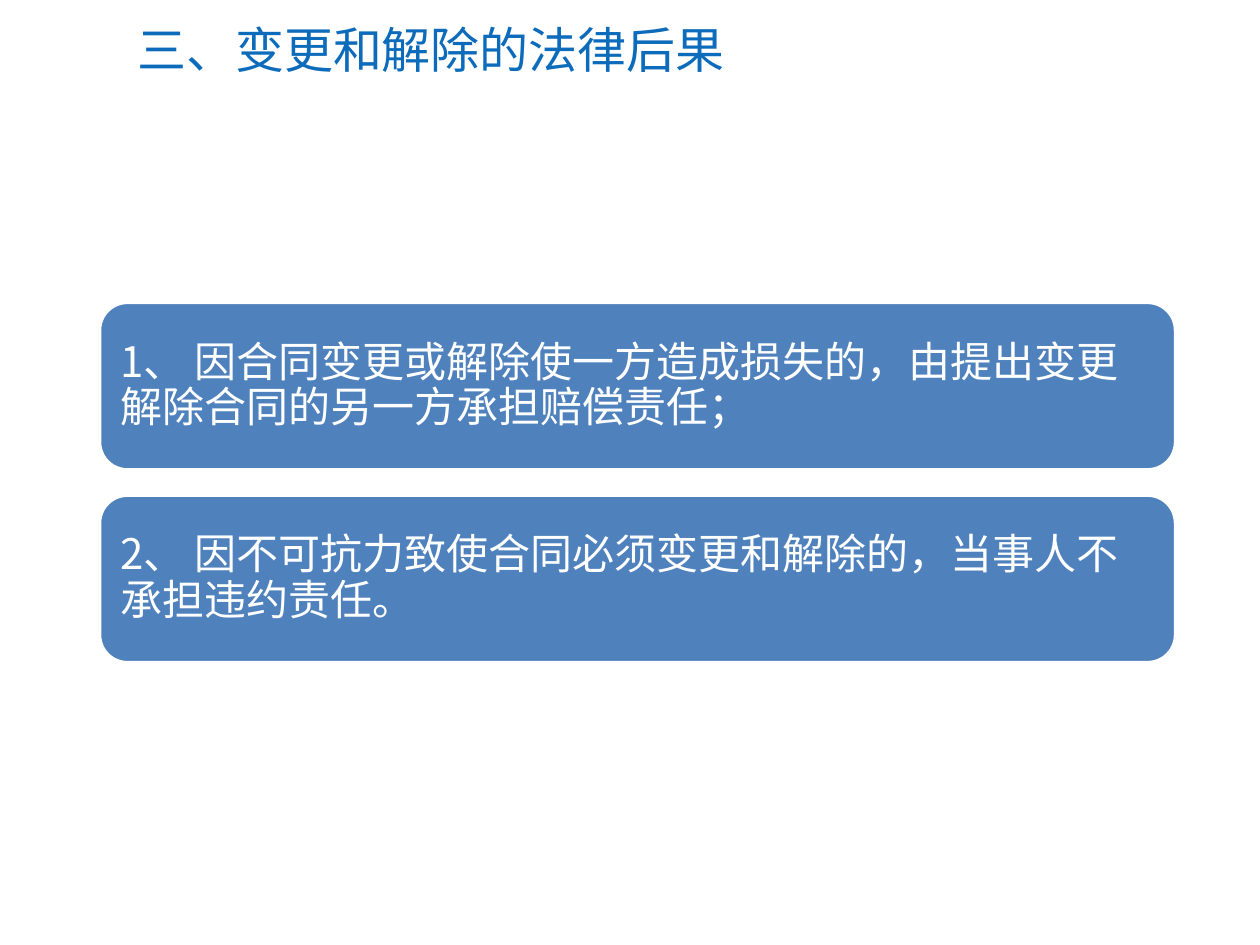
from lxml import etree
from pptx import Presentation
from pptx.dml.color import RGBColor
from pptx.enum.shapes import MSO_SHAPE
from pptx.enum.text import MSO_ANCHOR, PP_ALIGN
from pptx.oxml.ns import qn
from pptx.util import Inches, Pt

ROUND = MSO_SHAPE.ROUNDED_RECTANGLE
MIDDLE = MSO_ANCHOR.MIDDLE
LEFT = PP_ALIGN.LEFT

TITLE_BLUE = RGBColor(0x0C, 0x6B, 0xBA)
CARD_BLUE = RGBColor(0x4F, 0x81, 0xBD)
WHITE = RGBColor(0xFF, 0xFF, 0xFF)
LATIN = "Calibri"
HAN = "Noto Sans CJK SC"

TITLE = "三、变更和解除的法律后果"
RULES = [
    "1、 因合同变更或解除使一方造成损失的，由提出变更解除合同的另一方承担赔偿责任；",
    "2、 因不可抗力致使合同必须变更和解除的，当事人不承担违约责任。",
]
TOP, STEP = 2.4, 1.53


def add_run(para, text, size, color, font):
    run = para.add_run()
    run.text = text
    run.font.size = Pt(size)
    run.font.color.rgb = color
    run.font.name = font
    # Chinese characters take the East Asian font
    etree.SubElement(run.font._element, qn("a:ea"), typeface=HAN)


def set_title(slide, text):
    title = slide.shapes.title
    title.left, title.top = Inches(0.99), Inches(0.1)
    title.width, title.height = Inches(8.72), Inches(0.58)
    frame = title.text_frame
    frame.vertical_anchor = MIDDLE
    para = frame.paragraphs[0]
    para.alignment = LEFT
    add_run(para, text, 28, TITLE_BLUE, LATIN)


def add_card(slide, top, text):
    card = slide.shapes.add_shape(
        ROUND, Inches(0.79), Inches(top), Inches(8.54), Inches(1.33))
    card.shadow.inherit = False
    card.fill.solid()
    card.fill.fore_color.rgb = CARD_BLUE
    card.line.color.rgb = WHITE
    card.line.width = Pt(2)

    frame = card.text_frame
    frame.word_wrap = True
    frame.vertical_anchor = MIDDLE
    frame.margin_left = frame.margin_right = Inches(0.1)
    frame.margin_top = frame.margin_bottom = Inches(0.1)
    para = frame.paragraphs[0]
    para.alignment = LEFT
    para.line_spacing = 0.9
    para.space_after = Pt(8.4)
    add_run(para, text, 24, WHITE, HAN)


def main():
    deck = Presentation()
    deck.slide_width, deck.slide_height = Inches(10), Inches(7.5)
    slide = deck.slides.add_slide(deck.slide_layouts.get_by_name("Title Only"))

    # Heading
    set_title(slide, TITLE)

    # One card per legal consequence
    for i, text in enumerate(RULES):
        add_card(slide, TOP + i * STEP, text)

    deck.save("out.pptx")


if __name__ == "__main__":
    main()
